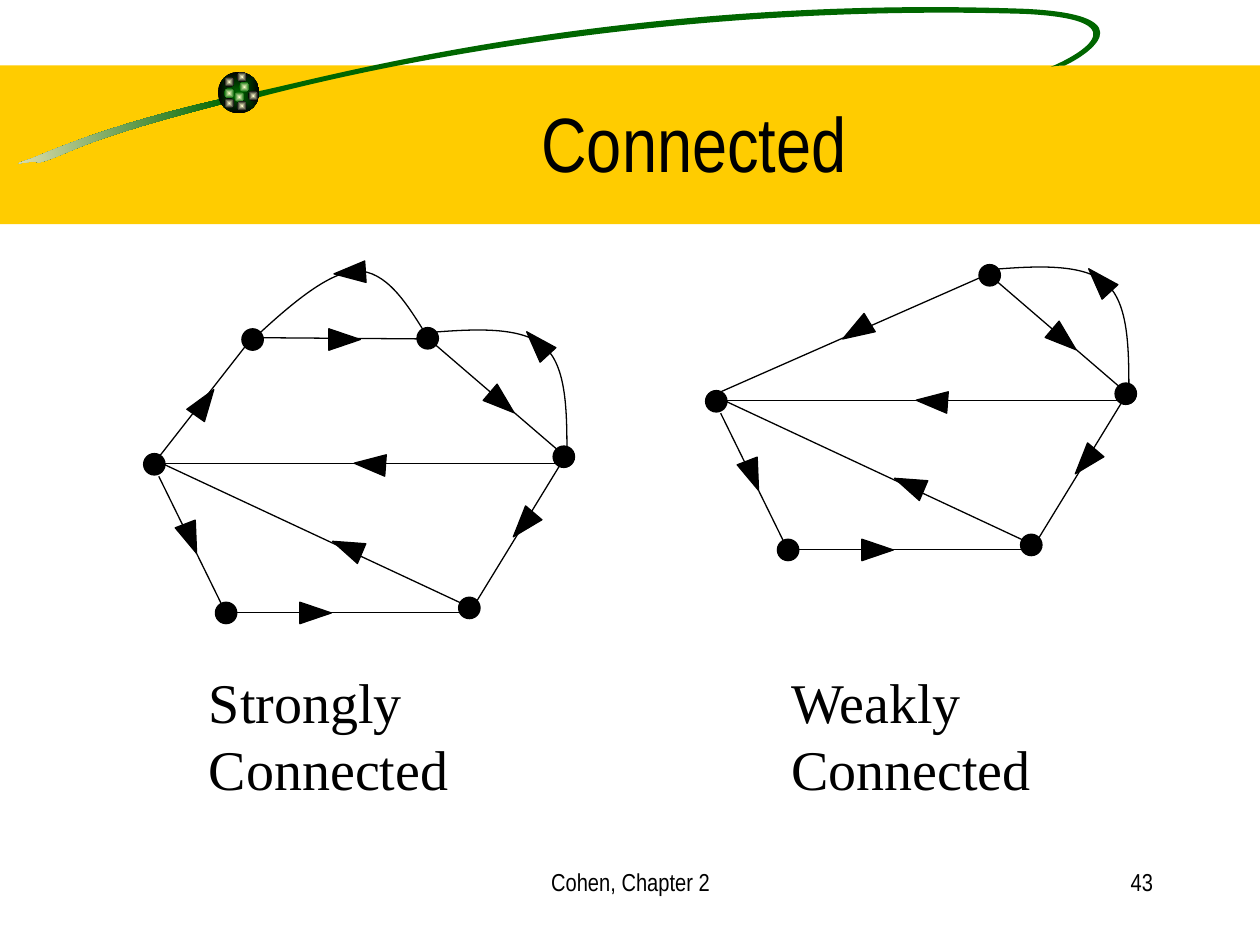
from math import cos, radians, sin

from lxml.etree import SubElement
from pptx import Presentation
from pptx.dml.color import RGBColor
from pptx.enum.shapes import MSO_CONNECTOR, MSO_SHAPE
from pptx.enum.text import MSO_ANCHOR as Anchor, MSO_AUTO_SIZE as AutoSize, PP_ALIGN as Align
from pptx.oxml.ns import qn
from pptx.util import Inches, Pt

COLORS = {"band": "FFCC00", "green": "006600", "cream": "F5EBC1",
          "glow": "FFFFCC", "ink": "000000", "white": "FFFFFF"}
NARROW, SERIF = "Arial Narrow", "Times New Roman"
NODE_SIZE = 0.17
ARROW_SIZE = (0.17, 0.25)
TILT = 351.5

# Curved outlines: frame, start point, cubic curves (two controls and an end)
TAIL = ((-0.03, 0.91, 1.84, 0.3), (1.78, 0.78), [
    (0.91, 0.98, 0.49, 1.16, 0.25, 1.26), (0.01, 1.34, 0.26, 1.26, 0.31, 1.29),
    (0.57, 1.22, 0.57, 1.13, 1.79, 0.82), (1.79, 0.82, 1.78, 0.78, 1.78, 0.78)])
SWOOSH = ((2.01, -0.15, 7.16, 1.09), (2.02, 0.73), [
    (2.46, 0.65, 4.86, -0.05, 8.14, 0.07), (9.17, 0.12, 8.57, 0.47, 8.45, 0.52),
    (8.45, 0.52, 8.38, 0.52, 8.34, 0.53), (8.44, 0.49, 9.16, 0.16, 8.13, 0.11),
    (5.48, 0.03, 3.2, 0.47, 2.06, 0.77), (2.06, 0.77, 2.02, 0.73, 2.02, 0.73)])
GREEN_DOTS = [(1.9, 0.65), (1.78, 0.7), (1.86, 0.73)]
DARK_DOTS = [(1.78, 0.61), (1.97, 0.72), (1.88, 0.8), (1.78, 0.78), (1.88, 0.57)]

# Parts found in both graphs: nodes (left, top), edges (from, to),
# arrows (left, top, rotation)
SHARED = {
    "nodes": [(1.71, 4.78), (1.14, 3.6), (3.31, 2.6), (4.39, 3.54), (3.64, 4.74)],
    "edges": [(1.79, 4.86, 3.71, 4.86), (1.79, 4.86, 1.26, 3.78), (3.39, 2.68, 4.46, 3.6),
              (4.5, 3.6, 3.76, 4.81), (4.44, 3.68, 1.31, 3.68), (3.71, 4.81, 1.29, 3.68)],
    "curves": [((3.4, 2.59, 1.1, 1.04), (4.5, 3.63), [
        (4.5, 3.27, 4.5, 2.91, 4.32, 2.75), (4.14, 2.59, 3.77, 2.61, 3.4, 2.64)])],
    "arrows": [(1.43, 4.15, 158.9), (2.42, 4.74, 90), (3.9, 3.07, 130.6), (4.07, 4.04, 220.4),
               (4.18, 2.6, 317.4), (2.67, 4.22, 293), (2.85, 3.56, 274.2)],
}
STRONG_ONLY = {
    "nodes": [(1.92, 2.61)],
    "edges": [(1.22, 3.68, 1.97, 2.72), (2.03, 2.68, 3.35, 2.69)],
    "curves": [((1.99, 2.15, 1.4, 0.56), (3.39, 2.67), [
        (3.23, 2.41, 3.07, 2.15, 2.83, 2.15), (2.6, 2.16, 2.29, 2.43, 1.99, 2.71)])],
    "arrows": [(2.65, 2.57, 90), (1.54, 3.07, 35.1), (2.69, 2.04, 266.1)],
}
WEAK_ONLY = {
    "nodes": [],
    "edges": [(1.26, 3.61, 3.35, 2.69)],
    "curves": [],
    "arrows": [(2.25, 3.0, 238.6)],
}


def color(name):
    return RGBColor.from_string(COLORS[name])


def paint(shape, fill=None, line=None):
    shape.shadow.inherit = False
    if fill:
        shape.fill.solid()
        shape.fill.fore_color.rgb = color(fill)
    else:
        shape.fill.background()
    if line:
        shape.line.color.rgb = color(line)
        shape.line.width = Pt(0.75)
    else:
        shape.line.fill.background()
    return shape


def paint_gradient(shape, first, last, from_center=False):
    shape.fill.gradient()
    shape.fill.gradient_angle = 180
    for stop, name, position in zip(shape.fill.gradient_stops, (first, last), (0, 1)):
        stop.color.rgb = color(name)
        stop.position = position
    if from_center:
        gradient = shape.element.spPr.find(qn("a:gradFill"))
        gradient.remove(gradient.find(qn("a:lin")))
        center = SubElement(gradient, qn("a:path"), path="rect")
        SubElement(center, qn("a:fillToRect"), {side: "50000" for side in "ltrb"})


def place(shape, frame):
    for name, value in zip(("left", "top", "width", "height"), frame):
        setattr(shape, name, Inches(value))


def add_solid(shapes, kind, left, top, width, height, fill, line=None):
    shape = shapes.add_shape(kind, *map(Inches, (left, top, width, height)))
    return paint(shape, fill, line)


def add_edge(shapes, ends):
    edge = shapes.add_connector(MSO_CONNECTOR.STRAIGHT, *map(Inches, ends))
    edge.line.color.rgb = color("ink")
    edge.line.width = Pt(0.75)
    SubElement(edge.element.spPr, qn("a:effectLst"))


def add_curve(shapes, frame, start, curves, tilt=0, closed=False, fill=None, line=None):
    left, top, width, height = frame
    builder = shapes.build_freeform(Inches(left), Inches(top))
    builder.add_line_segments([(Inches(left + width), Inches(top + height))], close=False)
    shape = paint(builder.convert_to_shape(), fill, line)
    place(shape, frame)
    shape.rotation = tilt

    # Points are turned back into the frame before the frame itself is turned
    turn = radians(-tilt)

    def add_points(step, values):
        for x, y in zip(values[::2], values[1::2]):
            x, y = x - left - width / 2, y - top - height / 2
            local = (x * cos(turn) - y * sin(turn) + width / 2,
                     x * sin(turn) + y * cos(turn) + height / 2)
            SubElement(step, qn("a:pt"), x=str(Inches(local[0])), y=str(Inches(local[1])))

    outline = next(shape.element.iter(qn("a:path")))
    for step in list(outline):
        outline.remove(step)
    outline.set("w", str(Inches(width)))
    outline.set("h", str(Inches(height)))
    add_points(SubElement(outline, qn("a:moveTo")), start)
    for curve in curves:
        add_points(SubElement(outline, qn("a:cubicBezTo")), curve)
    if closed:
        SubElement(outline, qn("a:close"))
    return shape


def write(box, text, size, font, align=Align.LEFT, **frame_values):
    frame = box.text_frame
    for name, value in {"word_wrap": True, "auto_size": AutoSize.NONE, **frame_values}.items():
        setattr(frame, name, value)
    para = frame.paragraphs[0]
    para.alignment = align
    span = para.add_run()
    span.text = text
    for name, value in {"size": Pt(size), "name": font, "bold": False}.items():
        setattr(span.font, name, value)
    span.font.color.rgb = color("ink")


def add_text(shapes, left, top, width, height, *text_values, **frame_values):
    box = shapes.add_textbox(*map(Inches, (left, top, width, height)))
    write(box, *text_values, **frame_values)


def add_ornament(page):
    shapes = page.shapes.add_group_shape().shapes
    add_solid(shapes, MSO_SHAPE.RECTANGLE, 0, 0.52, 10, 1.26, "band")
    paint_gradient(add_curve(shapes, *TAIL, tilt=TILT, closed=True), "green", "cream")
    add_curve(shapes, *SWOOSH, tilt=TILT, closed=True, fill="green")
    ball = add_solid(shapes, MSO_SHAPE.OVAL, 1.73, 0.57, 0.33, 0.33, "green")
    paint_gradient(ball, "green", "ink", from_center=True)
    for dots, rim in ((GREEN_DOTS, "green"), (DARK_DOTS, "ink")):
        for left, top in dots:
            dot = add_solid(shapes, MSO_SHAPE.OVAL, left, top, 0.08, 0.08, rim)
            paint_gradient(dot, "glow", rim, from_center=True)
    # Half-transparent veil down the left side
    veil = add_solid(shapes, MSO_SHAPE.RECTANGLE, 0.74, 2.06, 1.22, 5.44, "white")
    SubElement(next(veil.element.spPr.iter(qn("a:srgbClr"))), qn("a:alpha"), val="50000")


def add_title(page, text):
    title = page.shapes.title
    page.shapes.element.append(title.element)  # in front of the ornament
    place(title, (1.26, 0.5, 8.5, 1.25))
    write(title, text, 44, NARROW, Align.CENTER, vertical_anchor=Anchor.MIDDLE)


def add_graph(page, own_parts, caption, caption_left, dx=0, dy=0):
    shapes = page.shapes.add_group_shape().shapes
    parts = {kind: SHARED[kind] + own_parts[kind] for kind in SHARED}

    def shift(values):
        return tuple(v + (dy if i % 2 else dx) for i, v in enumerate(values))

    for ends in parts["edges"]:
        add_edge(shapes, shift(ends))
    for (left, top, *size), start, curves in parts["curves"]:
        add_curve(shapes, (*shift((left, top)), *size), shift(start),
                  [shift(curve) for curve in curves], line="ink")
    for node in parts["nodes"]:
        add_solid(shapes, MSO_SHAPE.OVAL, *shift(node), NODE_SIZE, NODE_SIZE, "ink", "ink")
    for left, top, rotation in parts["arrows"]:
        arrow = add_solid(shapes, MSO_SHAPE.ISOSCELES_TRIANGLE, *shift((left, top)),
                          *ARROW_SIZE, "ink", "ink")
        arrow.rotation = rotation
    add_text(shapes, caption_left, 5.25, 2.17, 1.17, caption, 32, SERIF,
             auto_size=AutoSize.SHAPE_TO_FIT_TEXT)


def main():
    deck = Presentation()
    deck.slide_width, deck.slide_height = Inches(10), Inches(7.5)
    page = deck.slides.add_slide(deck.slide_layouts[5])
    # Header
    add_ornament(page)
    add_title(page, "Connected")
    # The two graphs
    add_graph(page, STRONG_ONLY, "Strongly Connected", 1.56)
    add_graph(page, WEAK_ONLY, "Weakly Connected", 6.18, dx=4.46, dy=-0.5)
    # Footer
    add_text(page.shapes, 3.42, 6.83, 3.17, 0.5, "Cohen, Chapter 2", 14, NARROW, Align.CENTER)
    add_text(page.shapes, 7.17, 6.83, 2.08, 0.5, "43", 14, NARROW, Align.RIGHT)
    deck.save("out.pptx")


if __name__ == "__main__":
    main()
